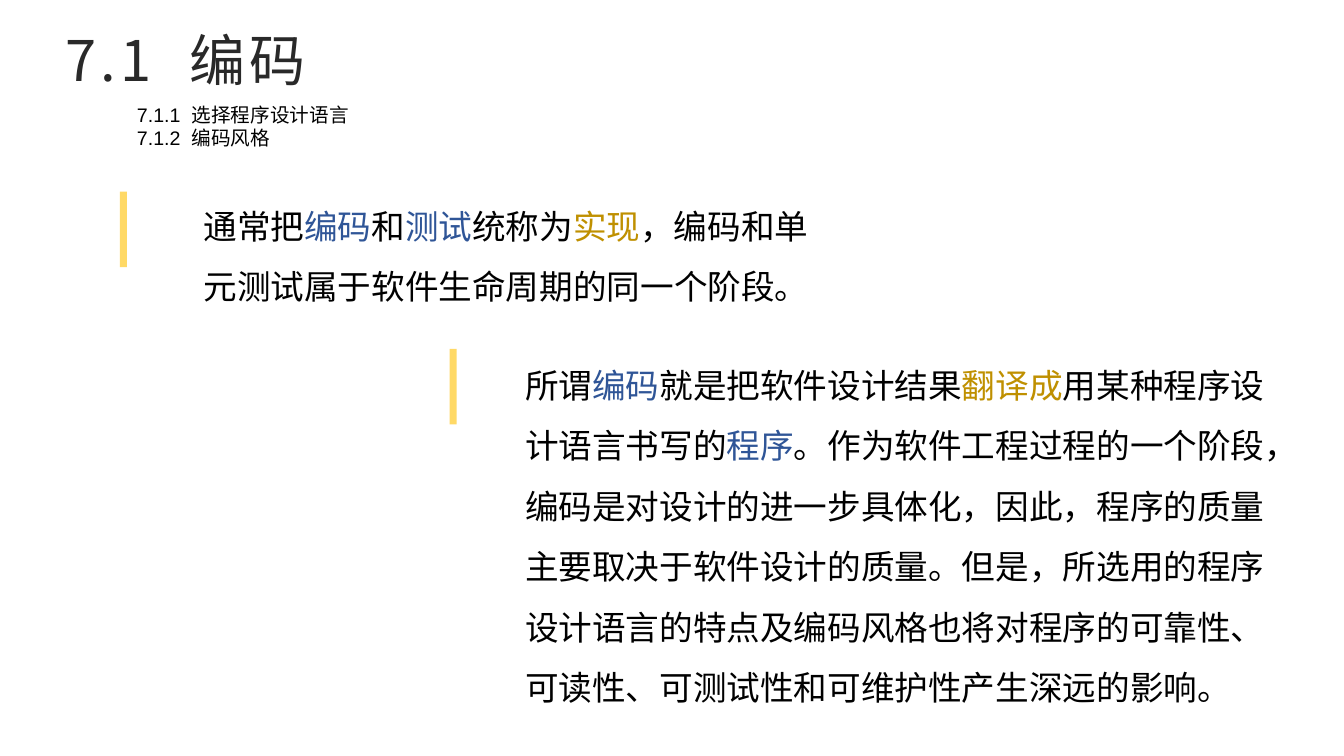
import pptx
import pptx.util
import pptx.dml.color
import pptx.enum.shapes
import pptx.enum.text
import pptx.oxml
import pptx.oxml.ns
import lxml.etree

Inches = pptx.util.Inches
COLORS = {
    "bar": "FFD966",
    "body": "000000",
    "term": "2F5597",
    "accent": "BF9000",
    "title": "292929",
}
BODY_FONT = "Arial"
TITLE_FONT = "Noto Sans CJK SC"


def rgb(name):
    return pptx.dml.color.RGBColor.from_string(COLORS[name])


def add_text_area(slide, left, top, width, height):
    area = slide.shapes.add_textbox(
        Inches(left), Inches(top), Inches(width), Inches(height)
    )
    area.text_frame.word_wrap = True
    area.text_frame.auto_size = pptx.enum.text.MSO_AUTO_SIZE.NONE
    return area.text_frame


def add_run(paragraph, words, size, color, font=BODY_FONT, spacing=0):
    run = paragraph.add_run()
    run.text = words
    run.font.size = pptx.util.Pt(size)
    run.font.name = font
    run.font.color.rgb = rgb(color)
    properties = run.font._element
    east_asian = lxml.etree.SubElement(properties, pptx.oxml.ns.qn("a:ea"))
    east_asian.set("typeface", font)
    if spacing:
        properties.set("spc", str(round(spacing * 100)))


def add_numbered_line(paragraph, number, heading, size, color, font, spacing, gap):
    add_run(paragraph, number, size, color, font, spacing)
    add_run(paragraph, " ", size, color, font, gap)
    add_run(paragraph, heading, size, color, font, spacing)


def add_title(slide, left, top, width, height):
    frame = add_text_area(slide, left, top, width, height)
    add_numbered_line(
        frame.paragraphs[0], "7.1", "编码", 40, "title", TITLE_FONT, 3, 15
    )


def add_sections(slide, left, top, width, height, sections):
    frame = add_text_area(slide, left, top, width, height)
    for index, (number, heading) in enumerate(sections):
        line = frame.add_paragraph() if index else frame.paragraphs[0]
        add_numbered_line(line, number, heading, 14, "body", BODY_FONT, 0, 3.9)


def add_statement(slide, left, top, width, height, bar_offset, phrases):
    bar = slide.shapes.add_shape(
        pptx.enum.shapes.MSO_SHAPE.RECTANGLE,
        Inches(left - bar_offset[0]),
        Inches(top + bar_offset[1]),
        Inches(0.07),
        Inches(0.75),
    )
    bar.shadow.inherit = False
    bar.fill.solid()
    bar.fill.fore_color.rgb = rgb("bar")
    bar.line.fill.background()

    statement = add_text_area(slide, left, top, width, height).paragraphs[0]
    statement.line_spacing = 1.5
    for words, color in phrases:
        add_run(statement, words, 24, color)


def build_coding_slide(presentation):
    slide = presentation.slides.add_slide(presentation.slide_layouts[6])
    add_title(slide, 0.55, 0.2, 4.04, 0.77)
    add_sections(
        slide, 1.26, 0.97, 2.94, 0.57,
        [("7.1.1", "选择程序设计语言"), ("7.1.2", "编码风格")],
    )
    add_statement(
        slide, 1.92, 1.79, 6.5, 1.31, (0.73, 0.11),
        [
            ("通常把", "body"),
            ("编码", "term"),
            ("和", "body"),
            ("测试", "term"),
            ("统称为", "body"),
            ("实现", "accent"),
            ("，编码和单元测试属于软件生命周期的同一个阶段。", "body"),
        ],
    )
    add_statement(
        slide, 5.11, 3.37, 7.8, 3.73, (0.65, 0.09),
        [
            ("所谓", "body"),
            ("编码", "term"),
            ("就是把软件设计结果", "body"),
            ("翻译成", "accent"),
            ("用某种程序设计语言书写的", "body"),
            ("程序", "term"),
            ("。作为软件工程过程的一个阶段，编码是对设计的进一步具体化，"
             "因此，程序的质量主要取决于软件设计的质量。但是，所选用的程序"
             "设计语言的特点及编码风格也将对程序的可靠性、可读性、可测试性"
             "和可维护性产生深远的影响。", "body"),
        ],
    )


def main():
    presentation = pptx.Presentation()
    presentation.slide_width = Inches(13.33)
    presentation.slide_height = Inches(7.5)
    build_coding_slide(presentation)
    presentation.save("out.pptx")


if __name__ == "__main__":
    main()
